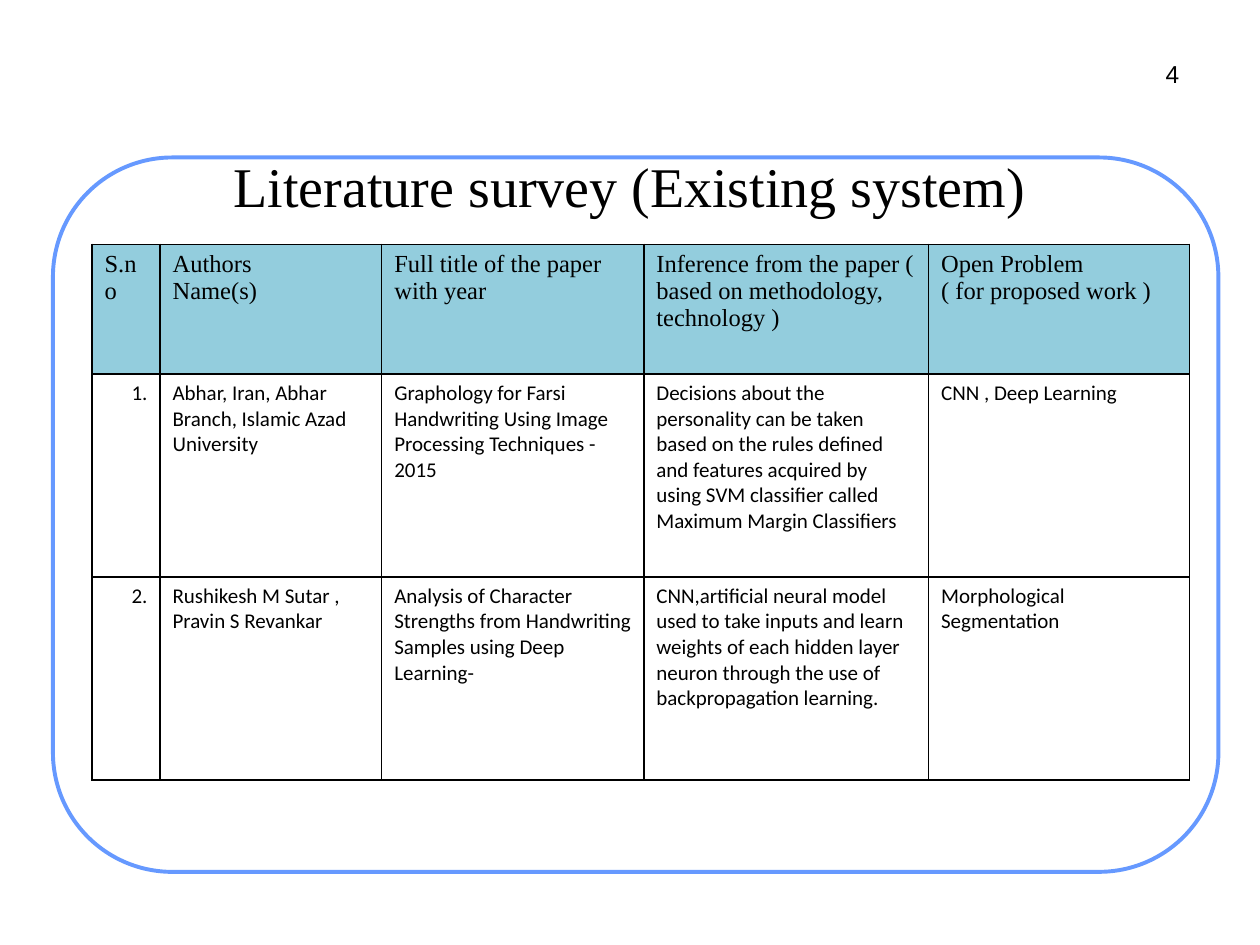
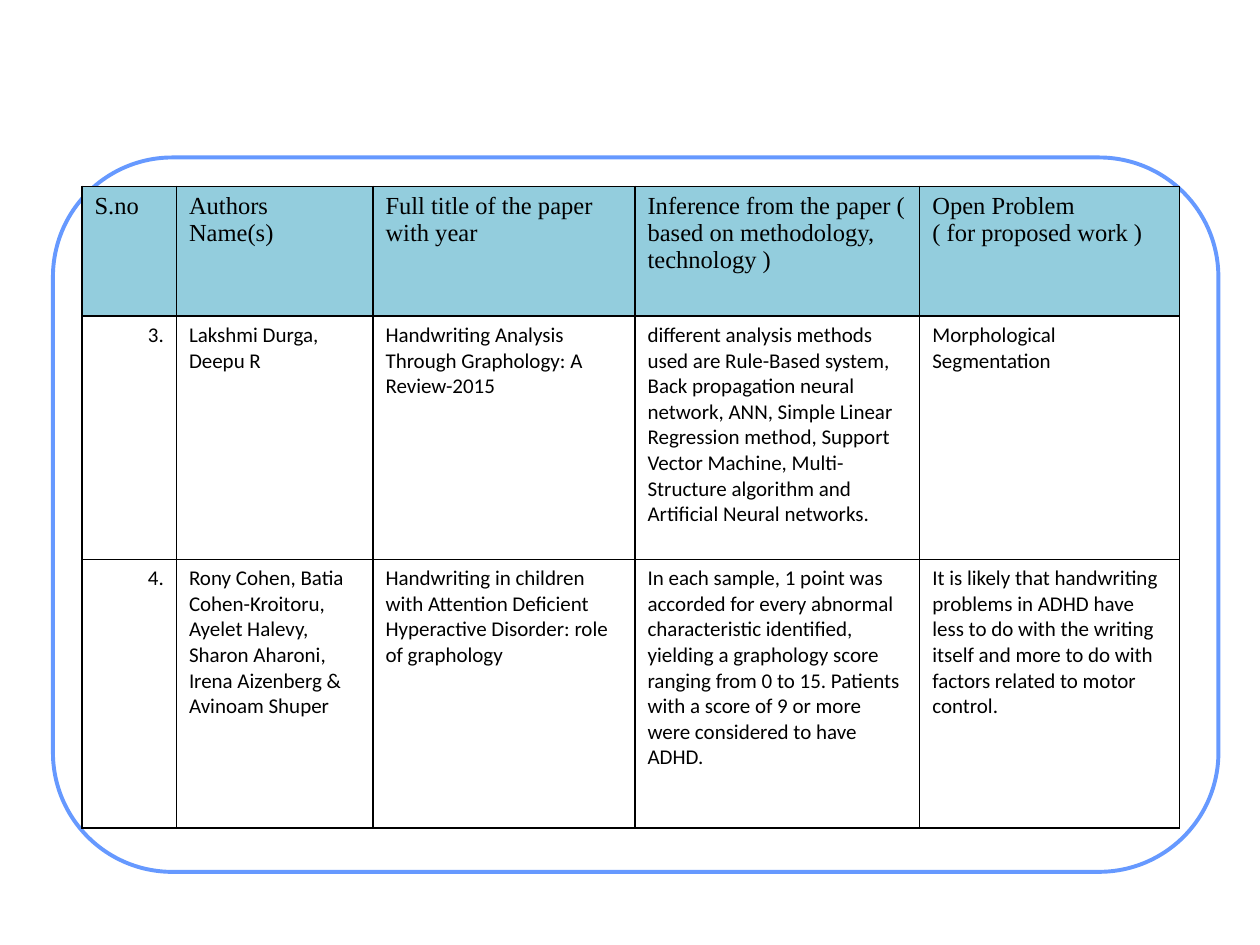
"""Build two literature survey slides with framed tables."""
from lxml.etree import SubElement
from pptx import Presentation
from pptx.dml.color import RGBColor
from pptx.enum.shapes import MSO_SHAPE as Shape
from pptx.enum.text import MSO_ANCHOR as Anchor, PP_ALIGN as Align
from pptx.oxml.ns import qn
from pptx.util import Inches, Pt

COLOURS = {"paper": "FFFFFF", "ink": "000000", "frame": "6699FF", "header": "93CDDD"}
SERIF, SANS, BODY = "Times New Roman", "Arial", "Calibri"
HEADINGS = [
    "S.no",
    "Authors\nName(s)",
    "Full title of the paper with year",
    "Inference from the paper ( based on methodology, technology )",
    "Open Problem\n( for proposed work )",
]
FIRST_PAPERS = [
    [
        "1.",
        "Abhar, Iran, Abhar Branch, Islamic Azad University",
        "Graphology for Farsi Handwriting Using Image Processing Techniques - 2015",
        "Decisions about the personality can be taken based on the rules defined and "
        "features acquired by using SVM classifier called Maximum Margin Classifiers",
        "CNN , Deep Learning",
    ],
    [
        "2.",
        "Rushikesh M Sutar , Pravin S Revankar",
        "Analysis of Character Strengths from Handwriting Samples using Deep Learning-",
        "CNN,artificial neural model used to take inputs and learn weights of each hidden "
        "layer neuron through the use of backpropagation learning.",
        "Morphological Segmentation",
    ],
]
SECOND_PAPERS = [
    [
        "3.",
        "Lakshmi Durga,\nDeepu R",
        "Handwriting Analysis Through Graphology: A Review-2015",
        "different analysis methods used are Rule-Based system, Back propagation neural "
        "network, ANN, Simple Linear Regression method, Support Vector Machine, "
        "Multi-Structure algorithm and Artificial Neural networks.",
        "Morphological Segmentation",
    ],
    [
        "4.",
        "Rony Cohen, Batia Cohen-Kroitoru, Ayelet Halevy, Sharon Aharoni, "
        "Irena Aizenberg & Avinoam Shuper",
        "Handwriting in children with Attention Deficient Hyperactive Disorder: "
        "role of graphology",
        "In each sample, 1 point was accorded for every abnormal characteristic identified, "
        "yielding a graphology score ranging from 0 to 15. Patients with a score of 9 or "
        "more were considered to have ADHD.",
        "It is likely that handwriting problems in ADHD have less to do with the writing "
        "itself and more to do with factors related to motor control.",
    ],
]


def colour(name):
    """Return the named colour."""
    return RGBColor.from_string(COLOURS[name])


def write(frame, text, font, size, align):
    """Fill a text frame and format its paragraphs and runs."""
    frame.text = text
    for para in frame.paragraphs:
        para.alignment = align
        for span in para.runs:
            span.font.name = font
            span.font.size = Pt(size)
            span.font.color.rgb = colour("ink")


def set_insets(frame, inset):
    """Give a text frame the same inset on all sides."""
    frame.margin_left = frame.margin_right = Inches(inset)
    frame.margin_top = frame.margin_bottom = Inches(inset)


def add_framed_slide(deck, layout_index):
    """Add a slide with the rounded frame behind its content."""
    slide = deck.slides.add_slide(deck.slide_layouts[layout_index])
    slide.background.fill.solid()
    slide.background.fill.fore_color.rgb = colour("paper")
    outline = slide.shapes.add_shape(
        Shape.ROUNDED_RECTANGLE, Inches(0.42), Inches(1.25), Inches(9.25), Inches(5.67))
    outline.adjustments[0] = 0.167
    outline.shadow.inherit = False
    outline.fill.solid()
    outline.fill.fore_color.rgb = colour("paper")
    outline.line.color.rgb = colour("frame")
    outline.line.width = Pt(2.25)
    slide.shapes.element.insert(2, outline.element)
    return slide


def set_title(slide, text):
    """Place and fill the title placeholder."""
    title = slide.shapes.title
    title.left, title.top = Inches(1.25), Inches(1.03)
    title.width, title.height = Inches(7.5), Inches(0.88)
    frame = title.text_frame
    set_insets(frame, 0.05)
    frame.vertical_anchor = Anchor.MIDDLE
    write(frame, text, SERIF, 32, Align.CENTER)


def add_page_number(slide, number):
    """Add the page number at the top right."""
    box = slide.shapes.add_textbox(Inches(9.19), Inches(0.42), Inches(0.22), Inches(0.32))
    frame = box.text_frame
    frame.word_wrap = False
    set_insets(frame, 0.05)
    write(frame, number, SANS, 14, Align.RIGHT)


def add_borders(cell):
    """Draw a thin line on each side of a cell."""
    properties = cell._tc.get_or_add_tcPr()
    for side in ("a:lnL", "a:lnR", "a:lnT", "a:lnB"):
        line = SubElement(properties, qn(side), w=str(Pt(1)))
        fill = SubElement(line, qn("a:solidFill"))
        SubElement(fill, qn("a:srgbClr"), val=COLOURS["ink"])


def add_survey_table(slide, left, top, widths, heights, papers):
    """Add the survey table with its heading row."""
    rows = [HEADINGS] + papers
    table = slide.shapes.add_table(
        len(rows), len(widths), Inches(left), Inches(top),
        Inches(sum(widths)), Inches(sum(heights))).table
    table.first_row = table.horz_banding = False
    for column, width in zip(table.columns, widths):
        column.width = Inches(width)
    for row, height in zip(table.rows, heights):
        row.height = Inches(height)
    for row_index, texts in enumerate(rows):
        for column_index, text in enumerate(texts):
            cell = table.cell(row_index, column_index)
            add_borders(cell)
            if row_index == 0:
                cell.fill.solid()
                cell.fill.fore_color.rgb = colour("header")
                write(cell.text_frame, text, SERIF, 14, Align.LEFT)
            else:
                cell.fill.background()
                align = Align.RIGHT if column_index == 0 else Align.LEFT
                write(cell.text_frame, text, BODY, 12, align)


def main():
    """Build and save the deck."""
    deck = Presentation()
    deck.slide_width, deck.slide_height = Inches(10), Inches(7.5)

    slide = add_framed_slide(deck, 5)
    add_page_number(slide, "4")
    set_title(slide, "Literature survey (Existing system)")
    add_survey_table(slide, 0.73, 1.94, [0.54, 1.76, 2.08, 2.26, 2.07],
                     [1.03, 1.61, 1.61], FIRST_PAPERS)

    slide = add_framed_slide(deck, 6)
    add_survey_table(slide, 0.65, 1.48, [0.75, 1.56, 2.08, 2.26, 2.06],
                     [1.03, 1.93, 2.13], SECOND_PAPERS)

    deck.save("out.pptx")


if __name__ == "__main__":
    main()
